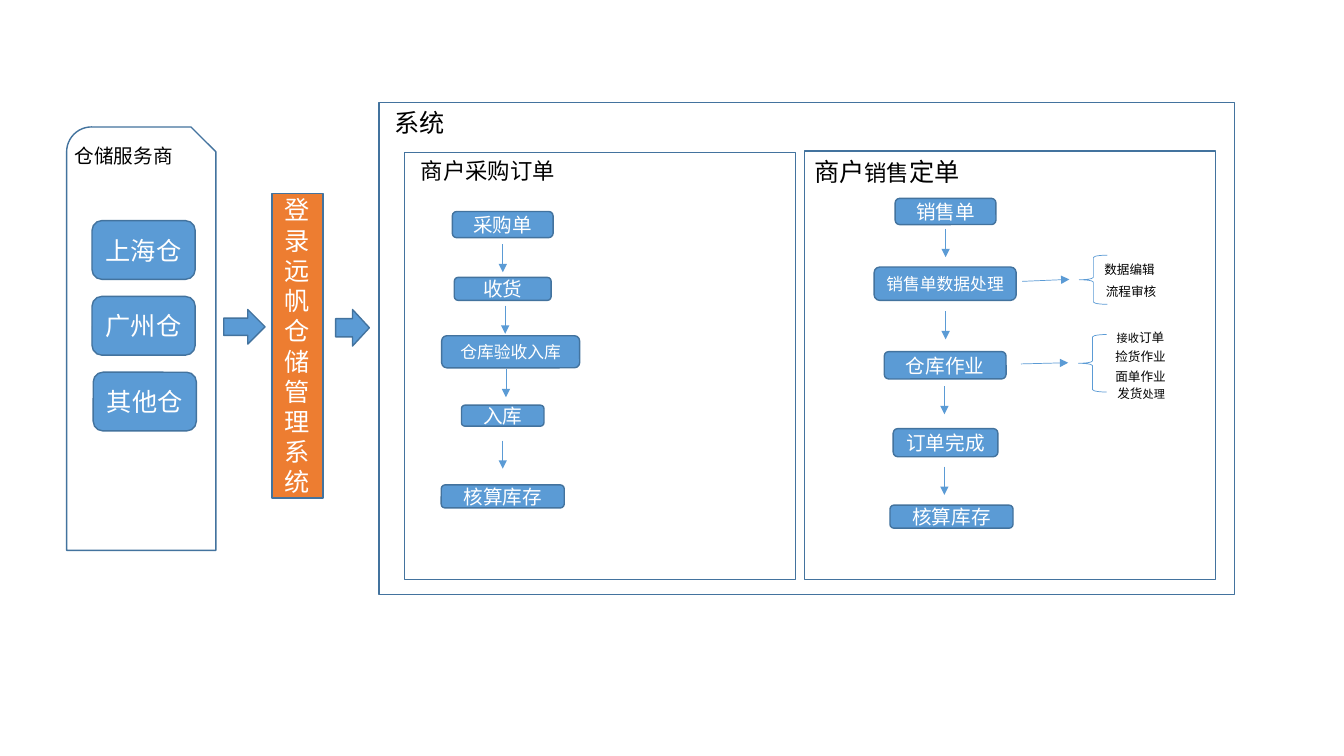
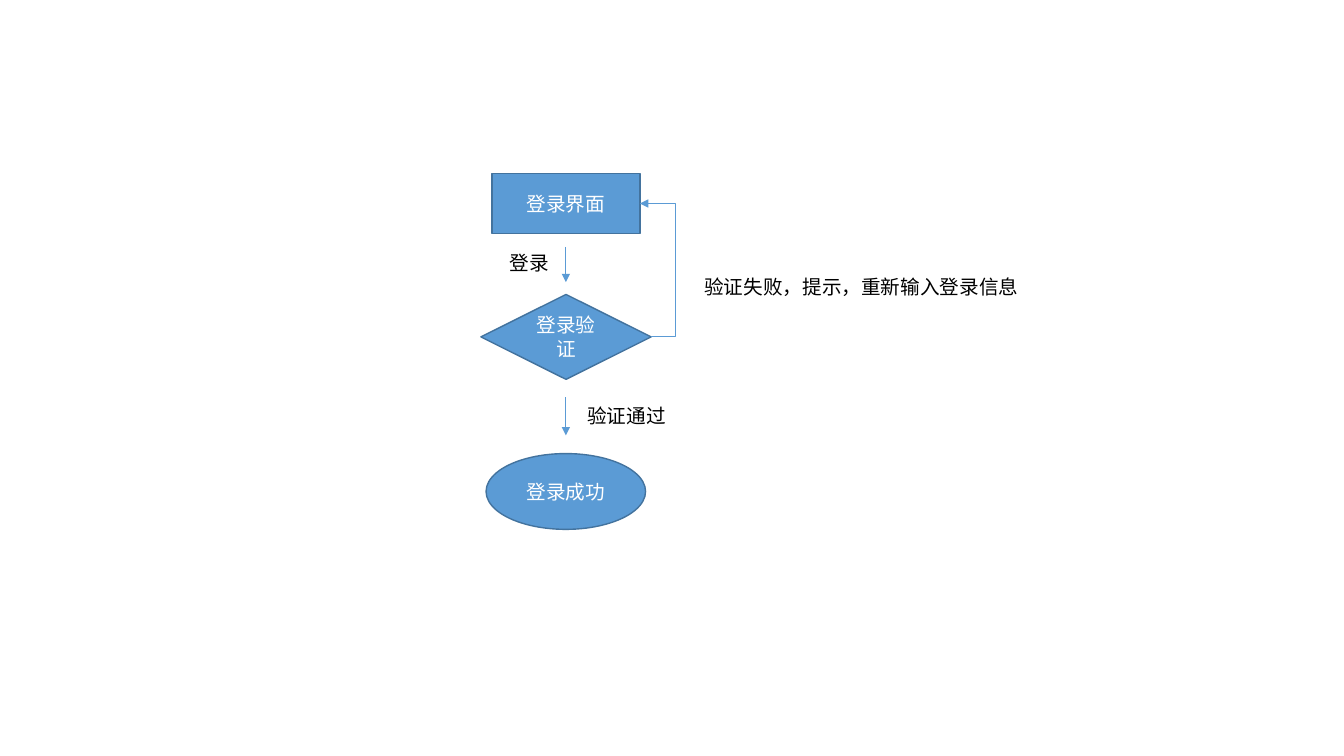
from dataclasses import dataclass
from typing import Optional

from pptx import Presentation
from pptx.dml.color import RGBColor
from pptx.enum.shapes import MSO_CONNECTOR as Connector, MSO_SHAPE as Preset
from pptx.enum.text import MSO_ANCHOR as Anchor, MSO_AUTO_SIZE as AutoSize, PP_ALIGN as Align
from pptx.oxml.ns import qn
from pptx.util import Cm, Pt

FONT = "Calibri"
COLORS = {
    "blue": "5B9BD5",
    "outline": "43739E",
    "orange": "ED7D31",
    "white": "FFFFFF",
    "black": "000000",
}
ARROW_LENGTH = 0.71

Run = tuple[str, float]
Point = tuple[float, float]


@dataclass
class Box:
    """An outlined preset shape, measured in centimetres."""
    preset: Preset
    left: float
    top: float
    width: float
    height: float
    lines: tuple[str, ...] = ()
    size: float = 14
    fill: Optional[str] = "blue"
    outline: str = "outline"
    weight: float = 1


@dataclass
class Step:
    """A rounded box of a flow, placed by its horizontal centre."""
    text: str
    center: float
    top: float
    width: float
    height: float
    size: float = 14


@dataclass
class Label:
    """Free text made of runs that may differ in size."""
    runs: list[Run]
    left: float
    top: float
    width: float
    height: float
    wrap: bool = True


def color(name: str) -> RGBColor:
    """Look up a named colour."""
    return RGBColor.from_string(COLORS[name])


def write_runs(paragraph, runs: list[Run], ink: str, align: Align = Align.LEFT) -> None:
    """Fill a paragraph with formatted runs."""
    paragraph.alignment = align
    for text, size in runs:
        run = paragraph.add_run()
        run.text = text
        run.font.name = FONT
        run.font.size = Pt(size)
        run.font.color.rgb = color(ink)


def draw_box(slide, box: Box) -> None:
    """Draw a preset shape with centred white text."""
    shape = slide.shapes.add_shape(
        box.preset, Cm(box.left), Cm(box.top), Cm(box.width), Cm(box.height))
    shape.shadow.inherit = False
    if box.fill:
        shape.fill.solid()
        shape.fill.fore_color.rgb = color(box.fill)
    else:
        shape.fill.background()
    shape.line.color.rgb = color(box.outline)
    shape.line.width = Pt(box.weight)
    frame = shape.text_frame
    frame.vertical_anchor = Anchor.MIDDLE
    for index, line in enumerate(box.lines):
        paragraph = frame.add_paragraph() if index else frame.paragraphs[0]
        write_runs(paragraph, [(line, box.size)], "white", Align.CENTER)


def draw_step(slide, step: Step) -> None:
    """Draw one step of a flow."""
    draw_box(slide, Box(Preset.ROUNDED_RECTANGLE, step.center - step.width / 2, step.top,
                        step.width, step.height, (step.text,), step.size))


def draw_label(slide, label: Label) -> None:
    """Draw black text in a box that grows with it."""
    shape = slide.shapes.add_textbox(
        Cm(label.left), Cm(label.top), Cm(label.width), Cm(label.height))
    frame = shape.text_frame
    frame.word_wrap = label.wrap
    frame.auto_size = AutoSize.SHAPE_TO_FIT_TEXT
    write_runs(frame.paragraphs[0], label.runs, "black")


def draw_arrow(slide, start: Point, end: Point, bend: Optional[float] = None) -> None:
    """Draw a thin arrow, with an elbow at the horizontal position bend if given."""
    kind = Connector.STRAIGHT if bend is None else Connector.ELBOW
    arrow = slide.shapes.add_connector(kind, *(Cm(value) for value in start + end))
    arrow.line.color.rgb = color("blue")
    arrow.line.width = Pt(0.5)
    properties = arrow._element.spPr
    head = properties.find(qn("a:ln")).makeelement(qn("a:tailEnd"), {"type": "triangle"})
    properties.find(qn("a:ln")).append(head)
    properties.append(properties.makeelement(qn("a:effectLst"), {}))
    if bend is not None:
        ratio = (bend - start[0]) / (end[0] - start[0])
        adjustments = properties.find(qn("a:prstGeom")).get_or_add_avLst()
        adjustments.append(adjustments.makeelement(
            qn("a:gd"), {"name": "adj1", "fmla": f"val {round(ratio * 100000)}"}))


def build_warehouse_slide(slide) -> None:
    """Show how warehouses reach the purchase and sales flows."""
    frames = [
        Box(Preset.SNIP_ROUND_RECTANGLE, 1.68, 3.2, 3.76, 10.67, fill=None),
        Box(Preset.RECTANGLE, 9.55, 2.59, 21.56, 12.4, fill=None),
        Box(Preset.RECTANGLE, 10.19, 3.84, 9.86, 10.77, fill=None),
        Box(Preset.RECTANGLE, 20.27, 3.81, 10.36, 10.8, fill=None),
    ]
    login_bar = Box(Preset.RECTANGLE, 6.86, 4.88, 1.28, 7.67,
                    ("登录", "远帆仓储管理系统"), 18, "orange")
    block_arrows = [
        Box(Preset.RIGHT_ARROW, 5.64, 7.8, 1.04, 0.87),
        Box(Preset.RIGHT_ARROW, 8.46, 7.8, 0.85, 0.92),
    ]
    braces = [
        Box(Preset.LEFT_BRACE, 27.2, 6.43, 0.71, 1.24, fill=None, outline="blue", weight=0.5),
        Box(Preset.LEFT_BRACE, 27.18, 8.43, 0.71, 1.45, fill=None, outline="blue", weight=0.5),
    ]
    warehouses = [
        Step(name, center, 5.56 + 1.91 * index, 2.6, 1.48, 18)
        for index, (name, center) in enumerate(
            [("上海仓", 3.62), ("广州仓", 3.62), ("其他仓", 3.65)])
    ]
    purchase_steps = [
        Step("采购单", 12.67, 5.33, 2.54, 0.66),
        Step("收货", 12.67, 6.99, 2.44, 0.58),
        Step("仓库验收入库", 12.87, 8.46, 3.48, 0.81, 12),
        Step("入库", 12.67, 10.21, 2.08, 0.53),
        Step("核算库存", 12.67, 12.22, 3.1, 0.58),
    ]
    sales_steps = [
        Step("销售单", 23.83, 5, 2.54, 0.66),
        Step("销售单数据处理", 23.82, 6.73, 3.58, 0.84, 12),
        Step("仓库作业", 23.82, 8.86, 3.07, 0.69),
        Step("订单完成", 23.83, 10.8, 2.64, 0.71),
        Step("核算库存", 23.98, 12.73, 3.1, 0.58),
    ]
    titles = [
        Label([("仓储服务商", 14)], 1.63, 3.51, 3, 0.86, wrap=False),
        Label([("系统", 18)], 9.7, 2.59, 2.13, 1.02),
        Label([("商户采购订单", 16)], 10.36, 3.84, 5.26, 0.94),
        Label([("商户", 18), ("销售", 16), ("定单", 18)], 20.27, 3.81, 5.49, 1.02),
    ]
    details = [
        Label(runs, left, top, 2.31, 0.64) for runs, left, top in [
            ([("数据编辑", 9)], 27.58, 6.48),
            ([("流程审核", 9)], 27.62, 7.04),
            ([("接收", 8), ("订单", 9)], 27.89, 8.2),
            ([("捡货作业", 9)], 27.86, 8.66),
            ([("面单作业", 9)], 27.86, 9.17),
            ([("发货", 9), ("处理", 8)], 27.91, 9.6),
        ]
    ]
    down_arrows = [
        (12.67, 6.15), (12.73, 7.7), (12.75, 9.3), (12.67, 11.1),
        (23.83, 5.77), (23.83, 7.84), (23.8, 9.73), (23.8, 11.76),
    ]

    for box in [*frames, login_bar, *block_arrows, *braces]:
        draw_box(slide, box)
    for step in warehouses + purchase_steps + sales_steps:
        draw_step(slide, step)
    for left, top in down_arrows:
        draw_arrow(slide, (left, top), (left, top + ARROW_LENGTH))
    draw_arrow(slide, (25.76, 7.09), (26.95, 7.04))
    draw_arrow(slide, (25.73, 9.17), (26.92, 9.14))
    for label in titles + details:
        draw_label(slide, label)


def build_login_slide(slide) -> None:
    """Show the login check and its two outcomes."""
    center = 14.26
    login_page = Box(Preset.RECTANGLE, 12.4, 4.37, 3.73, 1.52, ("登录界面",))
    login_check = Box(Preset.DIAMOND, 12.12, 7.42, 4.29, 2.14, ("登录验证",))
    login_done = Box(Preset.OVAL, 12.25, 11.43, 4.02, 1.91, ("登录成功",))
    for box in (login_page, login_check, login_done):
        draw_box(slide, box)

    draw_arrow(slide, (center, 6.22), (center, 7.11))
    draw_arrow(slide, (center, 10.01), (center, 10.97))
    check_exit, page_entry = (
        (box.left + box.width, box.top + box.height / 2) for box in (login_check, login_page))
    draw_arrow(slide, check_exit, page_entry, bend=17.03)

    for text, left, top, width in [
        ("验证失败，提示，重新输入登录信息", 17.5, 6.81, 8.48),
        ("验证通过", 14.55, 10.06, 2.51),
        ("登录", 12.6, 6.2, 1.5),
    ]:
        draw_label(slide, Label([(text, 14)], left, top, width, 0.86, wrap=False))


def main() -> None:
    """Build and save the presentation."""
    presentation = Presentation()
    presentation.slide_width = Cm(33.87)
    presentation.slide_height = Cm(19.05)
    blank = presentation.slide_layouts[6]
    for build in (build_warehouse_slide, build_login_slide):
        build(presentation.slides.add_slide(blank))
    presentation.save("out.pptx")


main()
